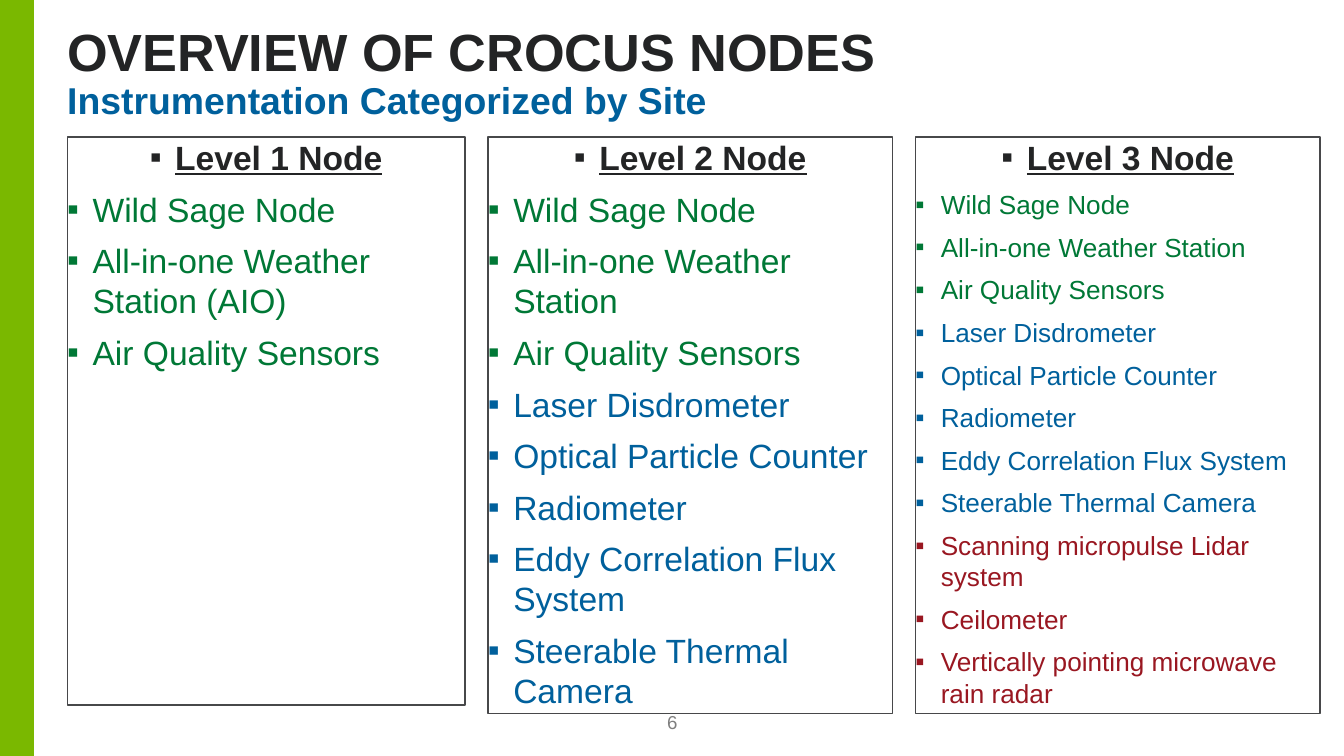
from dataclasses import dataclass

from lxml import etree
from pptx import Presentation
from pptx.dml.color import RGBColor
from pptx.enum import shapes, text
from pptx.oxml import ns
from pptx.util import Cm, Pt


@dataclass(frozen=True)
class Theme:
    font: str = "Arial"
    ink: str = "232425"
    frame: str = "47484A"
    muted: str = "7F7F7F"
    stripe: str = "7AB800"
    green: str = "007836"
    blue: str = "00609C"
    red: str = "991721"
    title: int = 28
    subtitle: int = 20
    heading: int = 18
    compact: int = 14
    number: int = 10


class SlideBuilder:
    def __init__(self, page, theme):
        self.page = page
        self.theme = theme

    def place(self, box, left, top, width, height):
        box.left, box.top = Cm(left), Cm(top)
        box.width, box.height = Cm(width), Cm(height)

    def prepare(self, box, anchor, bottom=0):
        frame = box.text_frame
        frame.word_wrap = True
        frame.auto_size = text.MSO_AUTO_SIZE.NONE
        frame.vertical_anchor = anchor
        frame.margin_left = frame.margin_right = frame.margin_top = 0
        frame.margin_bottom = Cm(bottom)
        return frame

    def style(self, para, size, color, bold=False, underline=False):
        font = para.font
        font.name = self.theme.font
        font.size = Pt(size)
        font.bold = bold
        font.underline = underline
        font.color.rgb = RGBColor.from_string(color)

    def bullet(self, para, color):
        props = para._p.get_or_add_pPr()
        props.set("marL", str(Cm(0.48)))
        props.set("indent", str(-Cm(0.48)))
        holder = etree.SubElement(props, ns.qn("a:buClr"))
        etree.SubElement(holder, ns.qn("a:srgbClr"), val=color)
        etree.SubElement(props, ns.qn("a:buFont"), typeface=self.theme.font)
        etree.SubElement(props, ns.qn("a:buChar"), char="▪")

    def stripe(self, width, height):
        bar = self.page.shapes.add_shape(
            shapes.MSO_SHAPE.RECTANGLE, 0, 0, Cm(width), Cm(height))
        bar.shadow.inherit = False
        bar.fill.solid()
        bar.fill.fore_color.rgb = RGBColor.from_string(self.theme.stripe)
        bar.line.fill.background()

    def line(self, box, area, words, size, color, anchor,
             align=text.PP_ALIGN.LEFT, spacing=1.0, bold=True):
        self.place(box, *area)
        para = self.prepare(box, anchor).paragraphs[0]
        para.text = words
        para.alignment = align
        para.line_spacing = spacing
        para.space_before = Pt(0)
        self.style(para, size, color, bold)

    def node_list(self, box, area, heading, groups, size):
        self.place(box, *area)
        box.line.color.rgb = RGBColor.from_string(self.theme.frame)
        box.line.width = Pt(0.75)
        frame = self.prepare(box, text.MSO_ANCHOR.TOP, bottom=0.13)
        para = frame.paragraphs[0]
        para.text = heading
        para.alignment = text.PP_ALIGN.CENTER
        para.space_before = Pt(0)
        self.bullet(para, self.theme.ink)
        self.style(para, self.theme.heading, self.theme.ink, True, True)
        for color, items in groups:
            for item in items:
                para = frame.add_paragraph()
                para.text = item
                para.alignment = text.PP_ALIGN.LEFT
                para.space_before = Pt(6)
                self.bullet(para, color)
                self.style(para, size, color)

    def number(self, area, words):
        box = self.page.shapes.add_textbox(0, 0, 0, 0)
        self.line(box, area, words, self.theme.number, self.theme.muted,
                  text.MSO_ANCHOR.BOTTOM, text.PP_ALIGN.CENTER, bold=False)


def main():
    theme = Theme()
    deck = Presentation()
    deck.slide_width, deck.slide_height = Cm(25.4), Cm(14.29)
    comparison = deck.slide_layouts[4]
    page = deck.slides.add_slide(comparison)
    builder = SlideBuilder(page, theme)
    title, subtitle, *lists = page.placeholders

    builder.stripe(0.64, 14.29)
    builder.line(title, (1.27, -0.15, 23.27, 1.73), "OVERVIEW OF CROCUS NODES",
                 theme.title, theme.ink, text.MSO_ANCHOR.BOTTOM, spacing=0.95)
    builder.line(subtitle, (1.27, 1.55, 23.27, 1.04),
                 "Instrumentation Categorized by Site",
                 theme.subtitle, theme.blue, text.MSO_ANCHOR.TOP, spacing=0.9)

    shared = ["Wild Sage Node", "All-in-one Weather Station", "Air Quality Sensors"]
    basic = [shared[0], "All-in-one Weather Station (AIO)", shared[2]]
    extended = ["Laser Disdrometer", "Optical Particle Counter", "Radiometer",
                "Eddy Correlation Flux System", "Steerable Thermal Camera"]
    advanced = ["Scanning micropulse Lidar system", "Ceilometer",
                "Vertically pointing microwave rain radar"]
    level_two = [(theme.green, shared), (theme.blue, extended)]
    nodes = [
        ("Level 1 Node", 7.52, 10.74, theme.heading, [(theme.green, basic)]),
        ("Level 2 Node", 7.65, 10.9, theme.heading, level_two),
        ("Level 3 Node", 7.65, 10.9, theme.compact,
         level_two + [(theme.red, advanced)]),
    ]
    left, gap = 1.27, 0.43
    for box, (heading, width, height, size, groups) in zip(lists, nodes):
        builder.node_list(box, (left, 2.59, width, height), heading, groups, size)
        left += width + gap

    builder.number((12.07, 13.49, 1.27, 0.38), "6")
    deck.save("out.pptx")


if __name__ == "__main__":
    main()
